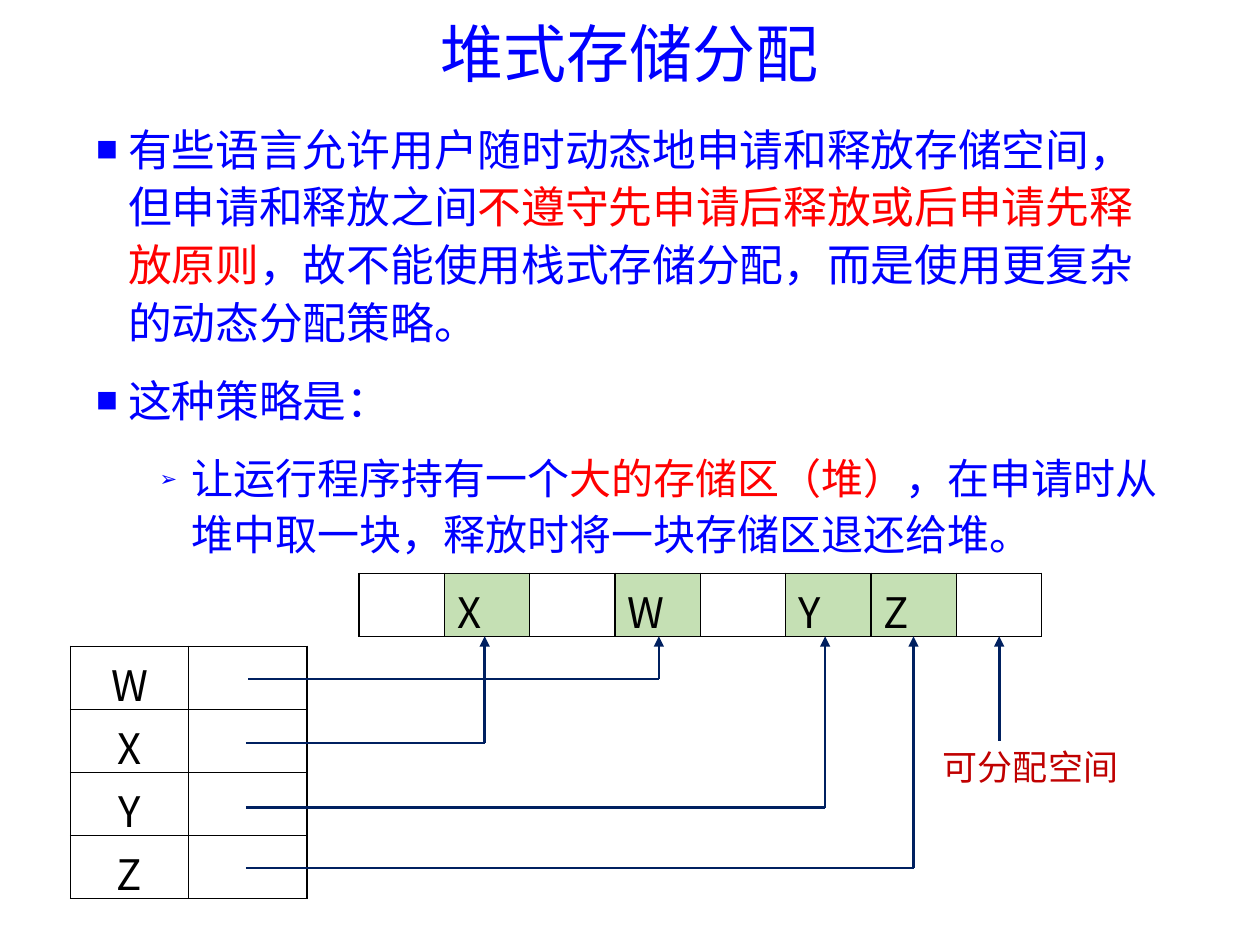
from dataclasses import dataclass
from lxml.etree import SubElement as Sub
from pptx import Presentation
from pptx.dml.color import RGBColor as Rgb
from pptx.enum.shapes import MSO_CONNECTOR as Conn
from pptx.enum.text import MSO_ANCHOR as Anchor, MSO_AUTO_SIZE as Fit, PP_ALIGN as Align
from pptx.oxml.ns import qn
from pptx.util import Pt


@dataclass(frozen=True)
class Theme:
    blue: str = "0000FF"
    red: str = "FF0000"
    black: str = "000000"
    green: str = "C5E0B4"
    navy: str = "002060"
    brick: str = "C00000"
    head: int = 36
    text: int = 25
    sub: int = 24
    cell: int = 24
    note: int = 20
    face: str = "Noto Sans CJK SC"
    title: str = "Noto Sans CJK JP"


T = Theme()


def style(run, size, color, face=T.face):
    run.font.size = Pt(size)
    run.font.color.rgb = Rgb.from_string(color)
    run.font.name = face
    Sub(run._r.get_or_add_rPr(), qn("a:ea"), typeface=face)


def place(shape, box):
    shape.left, shape.top, shape.width, shape.height = map(Pt, box)


def title(slide, box, text):
    shape = slide.shapes.title
    place(shape, box)
    frame = shape.text_frame
    frame.text = text
    frame.auto_size = Fit.NONE
    frame.vertical_anchor = Anchor.MIDDLE
    para = frame.paragraphs[0]
    para.alignment = Align.CENTER
    para.line_spacing = 0.9
    style(para.runs[0], T.head, T.blue, T.title)


def bullet(para, mark, left):
    props = para._p.get_or_add_pPr()
    props.set("marL", str(Pt(left)))
    props.set("indent", str(Pt(-18)))
    Sub(props, qn("a:buSzPct"), val="50000")
    Sub(props, qn("a:buFont"), typeface=T.face)
    Sub(props, qn("a:buChar"), char=mark)


def body(slide, box, items):
    frame = slide.shapes.add_textbox(*map(Pt, box)).text_frame
    frame.word_wrap = True
    for i, (level, parts) in enumerate(items):
        para = frame.add_paragraph() if i else frame.paragraphs[0]
        para.level = level
        bullet(para, "■➢"[level], 18 + 36 * level)
        para.line_spacing = 1.1
        para.space_before = Pt(6 if i else 0)
        para.space_after = Pt(6)
        for text, color in parts:
            run = para.add_run()
            run.text = text
            style(run, (T.text, T.sub)[level], color)


def border(cell):
    props = cell._tc.get_or_add_tcPr()
    for side in ("lnL", "lnR", "lnT", "lnB"):
        edge = Sub(props, qn(f"a:{side}"), w=str(Pt(1)))
        Sub(Sub(edge, qn("a:solidFill")), qn("a:srgbClr"), val=T.black)


def grid(slide, box, rows, align, tint=None):
    count, width = len(rows), len(rows[0])
    table = slide.shapes.add_table(count, width, *map(Pt, box)).table
    table.first_row = table.horz_banding = False
    for col in table.columns:
        col.width = Pt(box[2] / width)
    for r, row in enumerate(rows):
        table.rows[r].height = Pt(box[3] / count)
        for c, text in enumerate(row):
            cell = table.cell(r, c)
            border(cell)
            if text and tint:
                cell.fill.solid()
                cell.fill.fore_color.rgb = Rgb.from_string(tint)
            else:
                cell.fill.background()
            if text:
                cell.text = text
                para = cell.text_frame.paragraphs[0]
                para.alignment = align
                style(para.runs[0], T.cell, T.black)


def line(slide, start, end, arrow=False):
    link = slide.shapes.add_connector(Conn.STRAIGHT, *map(Pt, start + end))
    link.line.width = Pt(1.5)
    link.line.color.rgb = Rgb.from_string(T.navy)
    if arrow:
        Sub(link.line._get_or_add_ln(), qn("a:tailEnd"), type="triangle")
    Sub(link._element.spPr, qn("a:effectLst"))


def links(slide, box, paths):
    left, top = box[:2]
    for x, y, end in paths:
        turn = (left + end, top + y)
        if x < end:
            line(slide, (left + x, top + y), turn)
        line(slide, turn, (left + end, top), True)


def label(slide, box, text):
    frame = slide.shapes.add_textbox(*map(Pt, box)).text_frame
    frame.word_wrap = True
    frame.vertical_anchor = Anchor.MIDDLE
    frame.text = text
    para = frame.paragraphs[0]
    para.alignment = Align.CENTER
    style(para.runs[0], T.note, T.brick)


def main():
    deck = Presentation()
    deck.slide_width, deck.slide_height = Pt(720), Pt(540)
    slide = deck.slides.add_slide(deck.slide_layouts[5])
    title(slide, (49.7, 2.9, 620.6, 59.8), "堆式存储分配")
    body(slide, (48.2, 63.4, 620.6, 257), [
        (0, [("有些语言允许用户随时动态地申请和释放存储空间，但申请和释放之间", T.blue),
             ("不遵守先申请后释放或后申请先释放原则", T.red),
             ("，故不能使用栈式存储分配，而是使用更复杂的动态分配策略。", T.blue)]),
        (0, [("这种策略是：", T.blue)]),
        (1, [("让运行程序持有一个", T.blue),
             ("大的存储区（堆）", T.red),
             ("，在申请时从堆中取一块，释放时将一块存储区退还给堆。", T.blue)]),
    ])
    heap = ["", "X", "", "W", "", "Y", "Z", ""]
    grid(slide, (205.2, 327.6, 390.2, 36), [heap], Align.LEFT, T.green)
    names = [[name, ""] for name in "WXYZ"]
    grid(slide, (40.3, 369.4, 135, 144), names, Align.CENTER)
    links(slide, (140.5, 363.6, 430.5, 132.5), [
        (1.5, 24.5, 236), (0, 61, 136.5), (0, 98, 331),
        (0, 132.5, 381.5), (430.5, 59.8, 430.5),
    ])
    label(slide, (523.4, 420.5, 131, 34.6), "可分配空间")
    deck.save("out.pptx")


if __name__ == "__main__":
    main()
